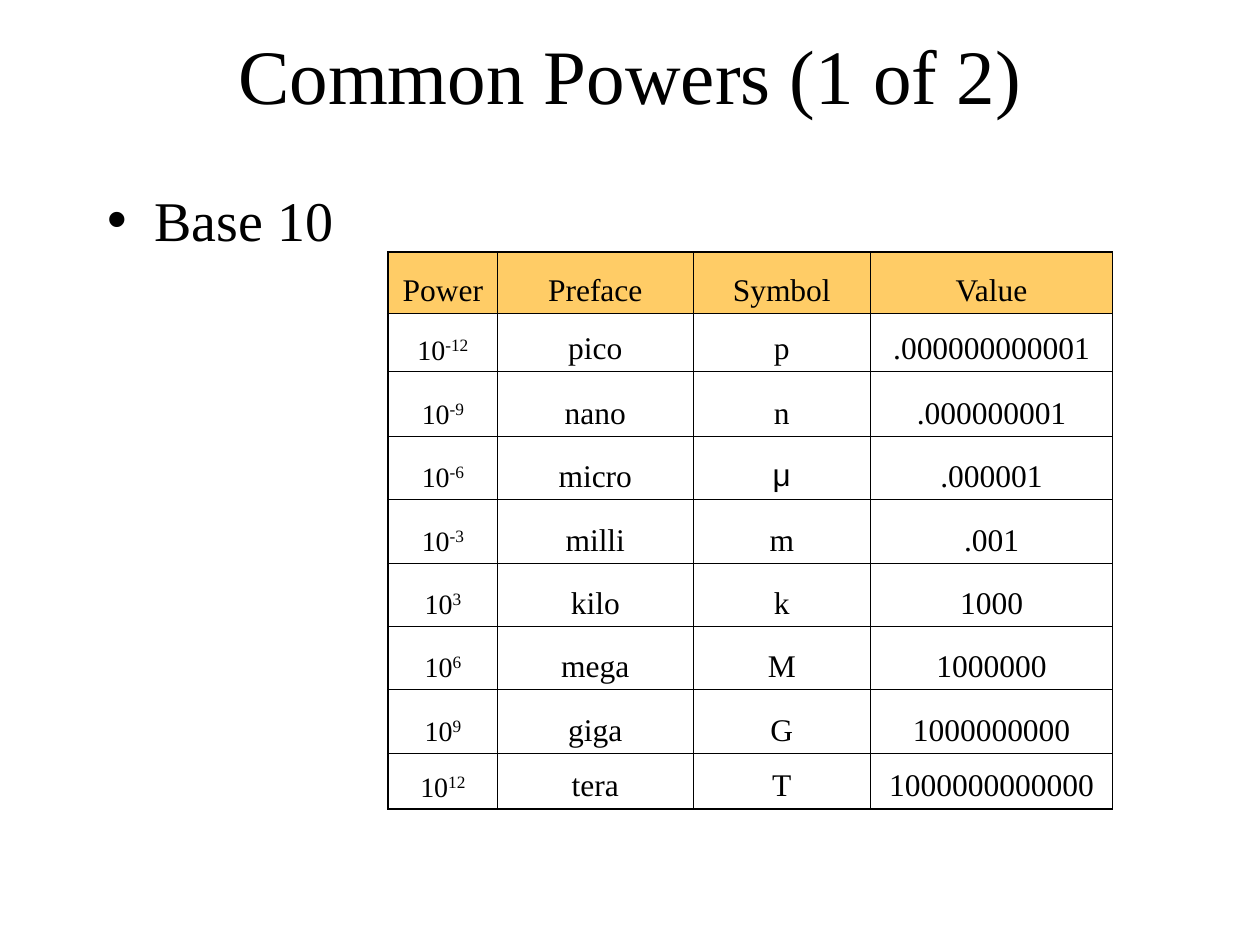
from lxml import etree
from pptx import Presentation
from pptx.dml.color import RGBColor
from pptx.enum.text import MSO_ANCHOR, MSO_AUTO_SIZE, PP_ALIGN
from pptx.oxml.ns import qn
from pptx.util import Inches, Pt

MIDDLE, BOTTOM, TOP = MSO_ANCHOR.MIDDLE, MSO_ANCHOR.BOTTOM, MSO_ANCHOR.TOP
CENTER, LEFT = PP_ALIGN.CENTER, PP_ALIGN.LEFT
FIXED = MSO_AUTO_SIZE.NONE

BLACK = RGBColor(0x00, 0x00, 0x00)
GOLD = RGBColor(0xFF, 0xCC, 0x66)
SERIF, SANS = "Times New Roman", "Arial"
THIN, THICK = 0.45, 1.08

ROWS = [0.49, 0.46, 0.51, 0.5, 0.51, 0.5, 0.5, 0.51, 0.44]
TOP_EDGE = 2

# Exponent, preface, symbol and value of each power of ten
POWERS = [
    ("-12", "pico", "p", ".000000000001"),
    ("-9", "nano", "n", ".000000001"),
    ("-6", "micro", "μ", ".000001"),
    ("-3", "milli", "m", ".001"),
    ("3", "kilo", "k", "1000"),
    ("6", "mega", "M", "1000000"),
    ("9", "giga", "G", "1000000000"),
    ("12", "tera", "T", "1000000000000"),
]


def add_run(para, text, size, face=SERIF, raised=False):
    run = para.add_run()
    run.text = text
    font = run.font
    font.size, font.name = Pt(size), face
    font.color.rgb = BLACK
    if raised:
        run._r.get_or_add_rPr().set("baseline", "30000")


def fill_holder(holder, box, text, size, align, anchor):
    holder.left, holder.top, holder.width, holder.height = map(Inches, box)
    frame = holder.text_frame
    frame.auto_size = FIXED
    frame.vertical_anchor = anchor
    para = frame.paragraphs[0]
    para.alignment = align
    para.space_before = Pt(0)
    add_run(para, text, size)


def set_edge(cell, side, width):
    props = cell._tc.get_or_add_tcPr()
    line = etree.SubElement(props, qn("a:ln" + side), w=str(Pt(width)))
    fill = etree.SubElement(line, qn("a:solidFill"))
    etree.SubElement(fill, qn("a:srgbClr"), val=str(BLACK))


def fill_cell(cell, runs, head):
    cell.vertical_anchor = BOTTOM
    if head:
        cell.fill.solid()
        cell.fill.fore_color.rgb = GOLD
    else:
        cell.fill.background()
    para = cell.text_frame.paragraphs[0]
    para.alignment = CENTER
    para.line_spacing = 0.8
    for run in runs:
        add_run(para, *run)


def add_grid(slide, left, cols, data):
    frame = slide.shapes.add_table(
        len(ROWS), len(cols), Inches(left), Inches(TOP_EDGE),
        Inches(sum(cols)), Inches(sum(ROWS)))
    table = frame.table
    table.first_row = table.horz_banding = False
    for col, width in zip(table.columns, cols):
        col.width = Inches(width)
    for row, height in zip(table.rows, ROWS):
        row.height = Inches(height)
    for r, line in enumerate(data):
        for c, runs in enumerate(line):
            cell = table.cell(r, c)
            # Outer edges are heavier than inner ones
            outer = {"L": c == 0, "R": c == len(cols) - 1,
                     "T": r == 0, "B": r == len(ROWS) - 1}
            for side, heavy in outer.items():
                set_edge(cell, side, THICK if heavy else THIN)
            fill_cell(cell, runs, r == 0)


def word(text):
    return [(text, 18, SANS if text == "μ" else SERIF)]


def power(exp):
    return [("10", 16), (exp, 17, SERIF, True)]


def main():
    prs = Presentation()
    prs.slide_width, prs.slide_height = Inches(10), Inches(7.5)
    slide = prs.slides.add_slide(prs.slide_layouts[1])

    # Title and bullet
    title, body = slide.placeholders
    fill_holder(title, (0.75, 0.17, 8.5, 0.83), "Common Powers (1 of 2)",
                44, CENTER, MIDDLE)
    fill_holder(body, (0.75, 1.42, 8.5, 4.5), "Base 10", 32, LEFT, TOP)

    # Names of the powers, then their values alongside
    names = [[word(t) for t in ("Power", "Preface", "Symbol")]]
    names += [[power(exp), word(pre), word(sym)]
              for exp, pre, sym, _ in POWERS]
    values = [[word("Value")]] + [[word(row[3])] for row in POWERS]
    cols = [0.87, 1.55, 1.41]
    left = 3.08
    add_grid(slide, left, cols, names)
    add_grid(slide, left + sum(cols), [1.92], values)

    prs.save("out.pptx")


if __name__ == "__main__":
    main()
